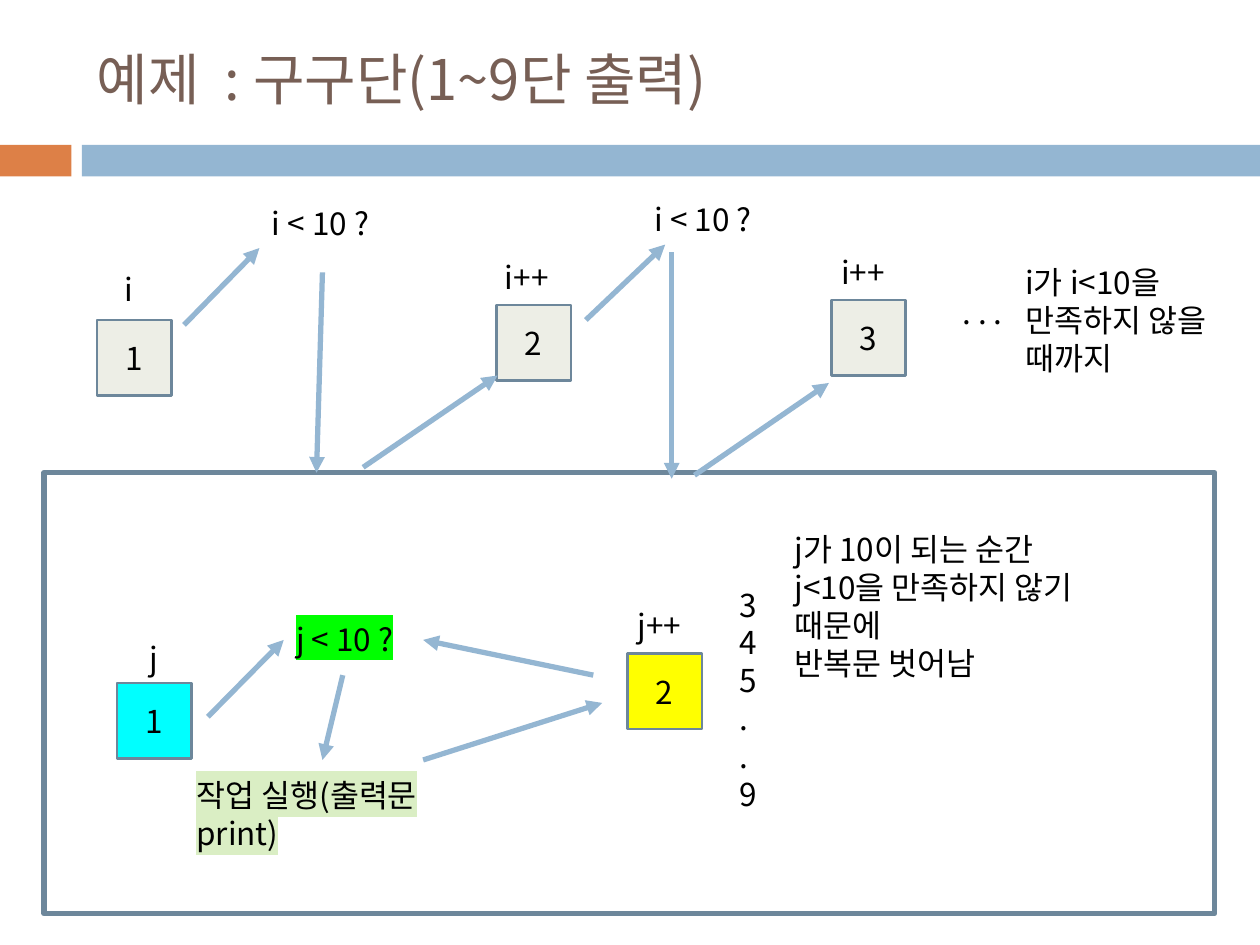
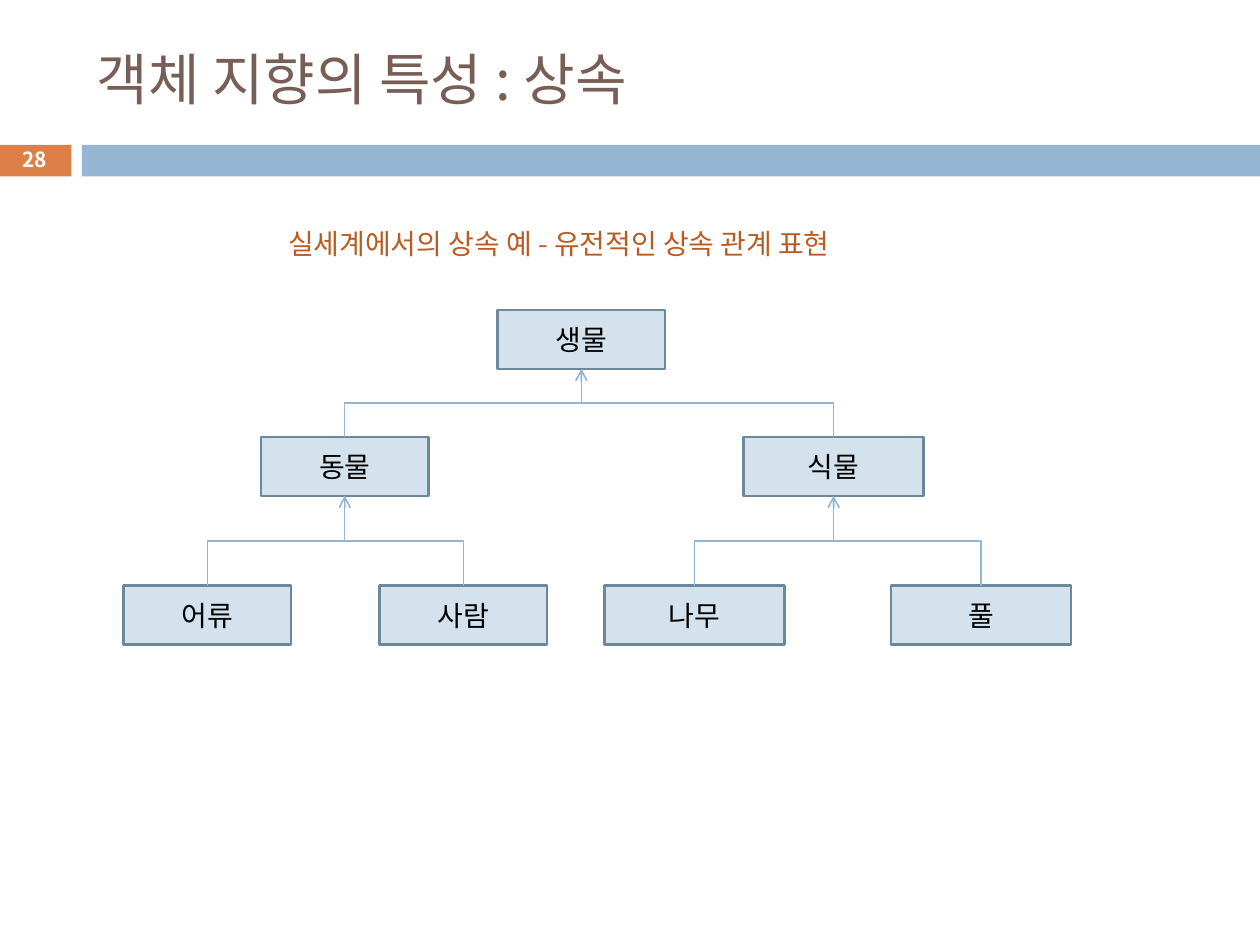
from dataclasses import dataclass

from lxml import etree
from pptx import Presentation
from pptx import util as u
from pptx.dml.color import RGBColor
from pptx.enum import shapes, text
from pptx.oxml import ns


@dataclass(frozen=True)
class Theme:
    font: str = "Noto Sans CJK KR"
    ink: str = "000000"
    white: str = "FFFFFF"
    title: str = "775F55"
    orange: str = "DD8047"
    blue: str = "94B6D2"
    outline: str = "6D879B"
    caption: str = "B95B22"
    outer_step: str = "EDEEE6"
    first_inner: str = "00FFFF"
    next_inner: str = "FFFF00"
    condition: str = "00FF00"
    action: str = "DAEEC4"
    tree_node: str = "D4E2ED"
    title_size: float = 32
    body_size: float = 18
    tree_size: float = 16
    number_size: float = 11.9
    thin: float = 0.79
    border: float = 1.5
    thick: float = 3


def sub(parent, tag, **attrs):
    return etree.SubElement(parent, ns.qn(tag), **attrs)


class Deck:
    def __init__(self, theme):
        self.t = theme
        self.prs = Presentation()
        self.prs.slide_width = u.Cm(25.4)
        self.prs.slide_height = u.Cm(19.05)
        self.s = None

    def new_slide(self, title):
        """Start a slide with the shared title and two-colour band."""
        t = self.t
        self.s = self.prs.slides.add_slide(self.prs.slide_layouts[6])
        self.rect(-0.03, 2.92, 1.47, 0.64, fill=t.orange)
        self.rect(1.65, 2.92, 23.75, 0.64, fill=t.blue)
        self.label(title, 1.7, 0.64, 22.66, 1.88, size=t.title_size,
                   color=t.title, wrap=True, middle=True)

    def style_text(self, tf, words, size, color, align=None, bold=False, highlight=None):
        tf.text = words
        for p in tf.paragraphs:
            p.alignment = align
            for r in p.runs:
                r.font.size = u.Pt(size)
                r.font.bold = bold
                r.font.name = self.t.font
                r.font.color.rgb = RGBColor.from_string(color)
                rPr = r.font._element
                if highlight:
                    mark = etree.Element(ns.qn("a:highlight"))
                    sub(mark, "a:srgbClr", val=highlight)
                    rPr.find(ns.qn("a:solidFill")).addnext(mark)
                rPr.find(ns.qn("a:latin")).addnext(
                    etree.Element(ns.qn("a:ea"), typeface=self.t.font))

    def rect(self, x, y, w, h, fill=None, border=None, words=None, size=None, highlight=None):
        sp = self.s.shapes.add_shape(shapes.MSO_SHAPE.RECTANGLE,
                                     u.Cm(x), u.Cm(y), u.Cm(w), u.Cm(h))
        sp.shadow.inherit = False
        if fill:
            sp.fill.solid()
            sp.fill.fore_color.rgb = RGBColor.from_string(fill)
        else:
            sp.fill.background()
        if border:
            sp.line.color.rgb = RGBColor.from_string(self.t.outline)
            sp.line.width = u.Pt(border)
        else:
            sp.line.fill.background()
        if words:
            sp.text_frame.vertical_anchor = text.MSO_ANCHOR.MIDDLE
            self.style_text(sp.text_frame, words, size or self.t.body_size, self.t.ink,
                            text.PP_ALIGN.CENTER, highlight=highlight)
        return sp

    def label(self, words, x, y, w, h=1.02, size=None, color=None, wrap=False,
              middle=False, **style):
        sp = self.s.shapes.add_textbox(u.Cm(x), u.Cm(y), u.Cm(w), u.Cm(h))
        tf = sp.text_frame
        tf.word_wrap = wrap
        if middle:
            tf.vertical_anchor = text.MSO_ANCHOR.MIDDLE
        self.style_text(tf, words, size or self.t.body_size, color or self.t.ink, **style)
        return sp

    def step(self, value, x, y, name, name_x, name_y, fill, highlight=None):
        """A variable's value in a square, with its name above."""
        self.rect(x, y, 1.5, 1.52, fill, self.t.border, value, highlight=highlight)
        self.label(name, name_x, name_y, 0.66 if len(name) == 1 else 1.57)

    def style_line(self, c, width, head):
        c.line.color.rgb = RGBColor.from_string(self.t.blue)
        c.line.width = u.Pt(width)
        spPr = c._element.spPr
        sub(spPr.find(ns.qn("a:ln")), "a:tailEnd", type=head)
        sub(spPr, "a:effectLst")

    def arrow(self, x1, y1, x2, y2):
        c = self.s.shapes.add_connector(shapes.MSO_CONNECTOR.STRAIGHT,
                                        u.Cm(x1), u.Cm(y1), u.Cm(x2), u.Cm(y2))
        self.style_line(c, self.t.thick, "triangle")

    def inherit(self, child, parent):
        """Elbow arrow up from the child's top to the parent's bottom."""
        c = self.s.shapes.add_connector(shapes.MSO_CONNECTOR.ELBOW, 0, 0, 0, 0)
        c.begin_connect(child, 0)
        c.end_connect(parent, 2)
        x1, x2 = (sp.left + sp.width // 2 for sp in (child, parent))
        y1, y2 = child.top, parent.top + parent.height
        rise, run = y1 - y2, abs(x2 - x1)
        rightward = x2 > x1
        # The elbow leaves vertically, so its frame is turned a quarter.
        c.left, c.top = (x1 + x2 - rise) // 2, (y1 + y2 - run) // 2
        c.width, c.height = rise, run
        c.rotation = 90 if rightward else 270
        xfrm = c._element.spPr.find(ns.qn("a:xfrm"))
        xfrm.set("flipH", "1" if rightward else "0")
        xfrm.set("flipV", "1")
        self.style_line(c, self.t.thin, "arrow")


def times_table_slide(deck):
    t = deck.t
    deck.new_slide("예제  : 구구단(1~9단 출력)")
    deck.rect(0.89, 9.53, 23.6, 8.89, border=t.thick)

    for step in (
        ("1", 1.96, 6.45, "i", 2.26, 5.31, t.outer_step),
        ("2", 10.01, 6.15, "i++", 9.93, 5.08, t.outer_step),
        ("3", 16.76, 6.05, "i++", 16.71, 4.98, t.outer_step),
        ("1", 2.36, 13.77, "j", 2.77, 12.75, t.first_inner),
        ("2", 12.65, 13.18, "j++", 12.6, 12.09, t.next_inner, t.next_inner),
    ):
        deck.step(*step)

    for x, y in ((5.23, 3.99), (12.95, 3.91)):
        deck.label("i < 10 ?", x, y, 2.79)
    deck.label(". . .", 19.15, 5.79, 1.4)
    deck.label("i가 i<10을 만족하지 않을 때까지", 20.42, 5.18, 4.67, 2.57, wrap=True)

    deck.label("j < 10 ?", 5.72, 12.37, 2.79, highlight=t.condition)
    action = deck.label("작업 실행(출력문 print)", 3.71, 15.52, 7.21,
                        wrap=True, highlight=t.action)
    action.text_frame.margin_right = u.Cm(1.5)
    deck.label("\n".join("345..9"), 14.66, 11.68, 0.86, 4.88)
    deck.label("j가 10이 되는 순간\nj<10을 만족하지 않기 때문에\n반복문 벗어남",
               15.77, 10.57, 7.04, 3.33, wrap=True)

    outer_loop = (
        (3.71, 6.55, 5.23, 5), (6.5, 5.49, 6.38, 9.53), (7.32, 9.42, 10.03, 7.57),
        (11.81, 6.45, 13.41, 4.93), (13.54, 5.08, 13.54, 9.65), (14, 9.58, 16.71, 7.72),
    )
    inner_loop = (
        (4.19, 14.45, 5.72, 12.9), (6.91, 13.61, 6.5, 15.32),
        (8.53, 15.32, 12.14, 14.17), (11.96, 13.61, 8.53, 12.9),
    )
    for ends in outer_loop + inner_loop:
        deck.arrow(*ends)


def inheritance_slide(deck):
    t = deck.t
    deck.new_slide("객체 지향의 특성 : 상속")
    deck.label("28", -0.03, 2.87, 1.47, 0.69, t.number_size, t.white, wrap=True,
               middle=True, align=text.PP_ALIGN.CENTER, bold=True)
    deck.label("실세계에서의 상속 예 - 유전적인 상속 관계 표현", 5.56, 4.45, 14.1, 0.94,
               t.tree_size, t.caption, wrap=True)

    rows = (6.25, 8.81, 11.81)
    narrow, wide = 3.38, 3.63
    nodes = {}
    for name, parent, level, x, w in (
        ("생물", None, 0, 10.03, narrow),
        ("동물", "생물", 1, 5.26, narrow),
        ("식물", "생물", 1, 14.99, wide),
        ("어류", "동물", 2, 2.49, narrow),
        ("사람", "동물", 2, 7.65, narrow),
        ("나무", "식물", 2, 12.19, wide),
        ("풀", "식물", 2, 17.96, wide),
    ):
        nodes[name] = deck.rect(x, rows[level], w, 1.19, t.tree_node, t.border,
                                name, t.tree_size)
        if parent:
            deck.inherit(nodes[name], nodes[parent])


def main():
    deck = Deck(Theme())
    times_table_slide(deck)
    inheritance_slide(deck)
    deck.prs.save("out.pptx")


if __name__ == "__main__":
    main()
